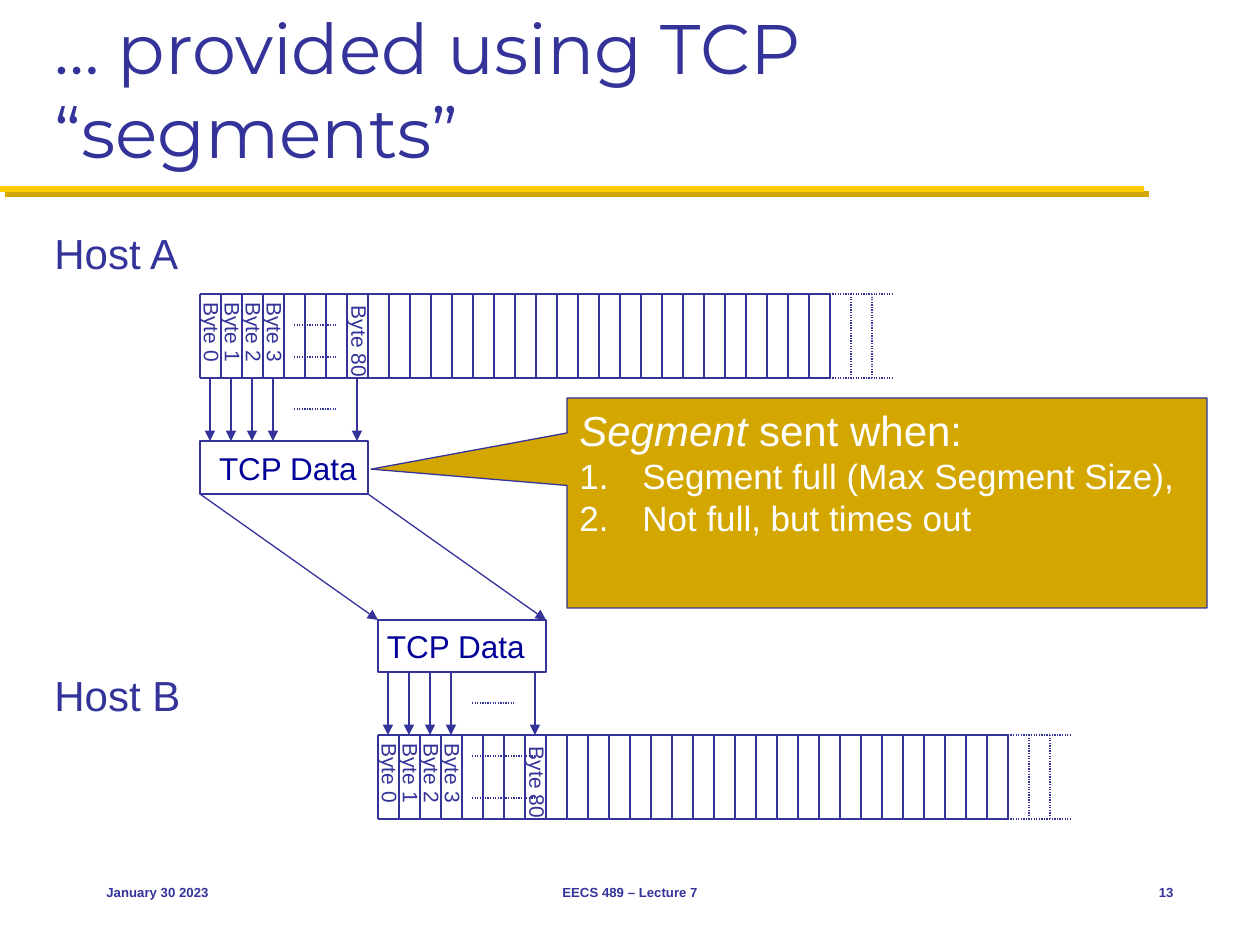
from dataclasses import dataclass

from lxml.etree import SubElement
from pptx import Presentation
from pptx.dml.color import RGBColor
from pptx.enum.dml import MSO_LINE
from pptx.enum.shapes import MSO_CONNECTOR, MSO_SHAPE
from pptx.enum.text import MSO_ANCHOR, PP_ALIGN
from pptx.oxml.ns import qn
from pptx.util import Emu, Pt

PX = 914400 / 126
CELL = 21
FULL_CELLS, DOTTED_CELLS = 30, 3
BYTES = {0: "Byte 0", 1: "Byte 1", 2: "Byte 2", 3: "Byte 3", 7: "Byte 80"}


@dataclass(frozen=True)
class Theme:
    ink: str = "333399"
    data_ink: str = "000099"
    gold: str = "D3A600"
    yellow: str = "FFCB05"
    white: str = "FFFFFF"
    font: str = "Arial"
    title_font: str = "Montserrat"
    title: float = 40
    heading: float = 24
    item: float = 20
    data: float = 18
    byte: float = 12
    footer: float = 7.5
    thin: float = 0.75
    rule: float = 3.5


THEME = Theme()


@dataclass(frozen=True)
class Box:
    left: int
    top: int
    width: int
    height: int

    @property
    def right(self):
        return self.left + self.width

    @property
    def bottom(self):
        return self.top + self.height

    def emu(self):
        return [px(value) for value in (self.left, self.top, self.width, self.height)]


def px(value):
    return Emu(round(value * PX))


def rgb(value):
    return RGBColor.from_string(value)


def add_line(page, start, end, color=THEME.ink, width=THEME.thin, dotted=False, arrow=False):
    """Draw a straight line and return its effect list, which is empty."""
    line = page.shapes.add_connector(
        MSO_CONNECTOR.STRAIGHT, *[px(value) for value in (*start, *end)])
    line.line.color.rgb = rgb(color)
    line.line.width = Pt(width)
    if dotted:
        line.line.dash_style = MSO_LINE.ROUND_DOT
    properties = line._element.spPr
    if arrow:
        SubElement(properties.find(qn("a:ln")), qn("a:tailEnd"), type="triangle")
    return SubElement(properties, qn("a:effectLst"))


def style_font(para, size, color=THEME.ink, name=THEME.font, bold=None):
    para.font.size = Pt(size)
    para.font.color.rgb = rgb(color)
    para.font.name = name
    para.font.bold = bold


def add_text(page, box, text, size, anchor=MSO_ANCHOR.TOP, align=PP_ALIGN.LEFT,
             wrap=False, **font):
    shape = page.shapes.add_textbox(*box.emu())
    frame = shape.text_frame
    frame.word_wrap = wrap
    frame.vertical_anchor = anchor
    para = frame.paragraphs[0]
    para.text = text
    para.alignment = align
    style_font(para, size, **font)
    return shape


def add_filled(page, kind, box, fill):
    shape = page.shapes.add_shape(kind, *box.emu())
    shape.shadow.inherit = False
    shape.fill.solid()
    shape.fill.fore_color.rgb = rgb(fill)
    shape.line.color.rgb = rgb(THEME.ink)
    shape.line.width = Pt(THEME.thin)
    return shape


def draw_title(page, box, text):
    """Place the title in its box and the shadowed rule just below it."""
    rule_y = box.bottom + 10
    effects = add_line(page, (0, rule_y), (1144, rule_y), THEME.yellow, THEME.rule)
    shadow = SubElement(effects, qn("a:outerShdw"), dist=str(Pt(4.2)), dir="2700000",
                        algn="ctr", rotWithShape="0")
    SubElement(shadow, qn("a:srgbClr"), val=THEME.gold)
    add_text(page, box, text, THEME.title, MSO_ANCHOR.BOTTOM, wrap=True,
             name=THEME.title_font)


def draw_byte_stream(page, box, dot_rows, dot_width):
    """Draw the row of byte cells, whose last cells are dotted, with its labels."""
    solid_right = box.left + FULL_CELLS * CELL
    for y in (box.top, box.bottom):
        add_line(page, (box.left, y), (solid_right, y))
        add_line(page, (box.right, y), (solid_right, y), dotted=True)
    for index in range(FULL_CELLS + DOTTED_CELLS):
        x = box.left + index * CELL
        add_line(page, (x, box.top), (x, box.bottom), dotted=index > FULL_CELLS)
    for index, label in BYTES.items():
        width, drop = (97, 48) if len(label) > 6 else (86, 39)
        center_x = box.left + index * CELL + 12
        label_box = Box(center_x - width // 2, box.top + drop - 19, width, 38)
        add_text(page, label_box, label, THEME.byte).rotation = 89.8
    for row in dot_rows:
        draw_dots(page, box.left + 94, box.top + row, dot_width)


def draw_dots(page, left, y, width=42):
    add_line(page, (left, y), (left + width, y), dotted=True)


def draw_byte_arrows(page, box):
    for index in BYTES:
        x = box.left + index * CELL + CELL // 2
        add_line(page, (x, box.top), (x, box.bottom), arrow=True)
    draw_dots(page, box.left + 94, box.top + box.height // 2)


def draw_segment(page, box, inset):
    frame = add_filled(page, MSO_SHAPE.RECTANGLE, box, THEME.white).text_frame
    frame.word_wrap = False
    frame.vertical_anchor = MSO_ANCHOR.MIDDLE
    frame.margin_left, frame.margin_right = px(inset), 0
    para = frame.paragraphs[0]
    para.text = "TCP Data"
    para.alignment = PP_ALIGN.LEFT
    style_font(para, THEME.data, THEME.data_ink)


def draw_transfer(page, sent, received):
    add_line(page, (sent.left, sent.bottom), (received.left, received.top), arrow=True)
    add_line(page, (sent.right, sent.bottom), (received.right, received.top), arrow=True)


def draw_callout(page, box, items):
    shape = add_filled(page, MSO_SHAPE.RECTANGULAR_CALLOUT, box, THEME.gold)
    shape.adjustments[0], shape.adjustments[1] = -0.806, -0.161
    frame = shape.text_frame
    frame.word_wrap = True
    frame.vertical_anchor = MSO_ANCHOR.TOP
    heading = frame.paragraphs[0]
    for text, italic in (("Segment", True), (" sent when:", False)):
        span = heading.add_run()
        span.text = text
        span.font.italic = italic
    style_font(heading, THEME.heading, THEME.white)
    heading.alignment = PP_ALIGN.LEFT
    for text in items:
        para = frame.add_paragraph()
        para.text = text
        para.alignment = PP_ALIGN.LEFT
        style_font(para, THEME.item, THEME.white)
        properties = para._p.get_or_add_pPr()
        properties.set("marL", str(px(63)))
        properties.set("indent", str(-px(63)))
        number = SubElement(properties, qn("a:buAutoNum"), type="arabicPeriod")
        properties.insert(0, number)


def draw_footer(page, box, date, course, number):
    parts = ((0, 262, date, PP_ALIGN.LEFT), (336, 400, course, PP_ALIGN.CENTER),
             (1008, 84, number, PP_ALIGN.RIGHT))
    for offset, width, text, align in parts:
        add_text(page, Box(box.left + offset, box.top, width, box.height), text,
                 THEME.footer, MSO_ANCHOR.MIDDLE, align, wrap=True, bold=True)


def main():
    deck = Presentation()
    deck.slide_width, deck.slide_height = px(1260), px(945)
    page = deck.slides.add_slide(deck.slide_layouts[6])
    draw_title(page, Box(42, 21, 1176, 158), "… provided using TCP “segments”")

    stream_width = (FULL_CELLS + DOTTED_CELLS) * CELL
    sent, received = Box(200, 441, 168, 53), Box(378, 620, 168, 52)
    add_text(page, Box(42, 221, 151, 63), "Host A", THEME.heading)
    draw_byte_stream(page, Box(200, 294, stream_width, 84), (31, 63), 42)
    add_text(page, Box(42, 663, 152, 63), "Host B", THEME.heading)
    draw_byte_stream(page, Box(378, 735, stream_width, 84), (21, 63), 63)

    draw_segment(page, sent, 19)
    draw_segment(page, received, 9)
    draw_transfer(page, sent, received)
    draw_byte_arrows(page, Box(200, 378, 168, 63))
    draw_byte_arrows(page, Box(378, 672, 168, 63))
    draw_callout(page, Box(567, 398, 640, 210),
                 ("Segment full (Max Segment Size),", "Not full, but times out"))
    draw_footer(page, Box(94, 861, 1092, 63),
                "January 30 2023", "EECS 489 – Lecture 7", "13")
    deck.save("out.pptx")


if __name__ == "__main__":
    main()
